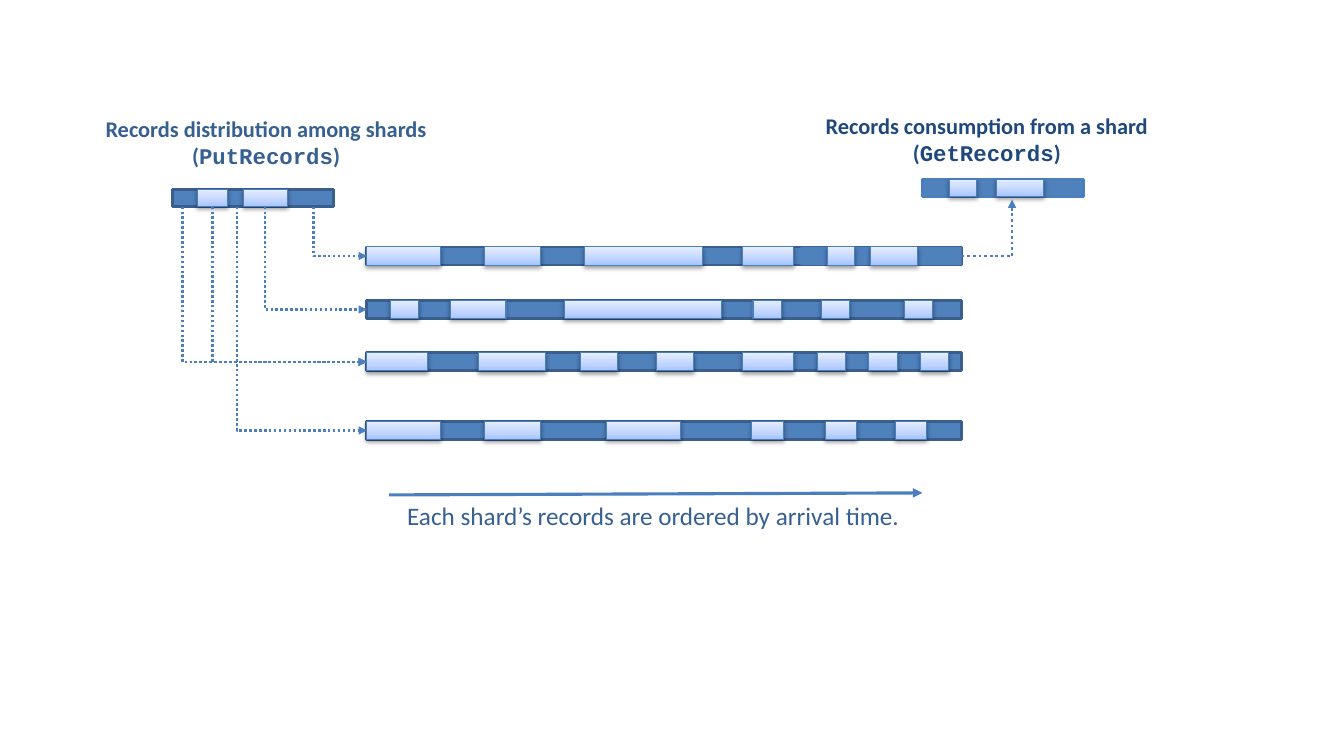
from copy import deepcopy
from dataclasses import dataclass

from pptx import Presentation
from pptx.dml.color import RGBColor
from pptx.enum.dml import MSO_LINE
from pptx.enum.shapes import MSO_CONNECTOR, MSO_SHAPE
from pptx.enum.text import PP_ALIGN
from pptx.oxml import parse_xml
from pptx.oxml.ns import nsdecls, qn
from pptx.oxml.xmlchemy import OxmlElement
from pptx.util import Inches, Pt


@dataclass(frozen=True)
class Theme:
    """Colours, fonts and sizes of the slide."""
    bar: str = "4F81BD"
    edge: str = "3A5F8C"
    link: str = "4B7EBC"
    text: str = "376092"
    navy: str = "1F497D"
    glow: tuple = ((0, "A4C4FF"), (0.35, "BFD4FF"), (1, "E6EEFF"))
    font: str = "Calibri"
    code: str = "Courier New"
    head: int = 16
    note: int = 18
    thick: float = 2
    thin: float = 0.75
    dots: float = 1.75
    arrow: float = 2.25


THEME = Theme()
CELL = 0.1  # inches per grid column and row
COLS, ROWS = 133.33, 75
BAR = 1.8  # rows in a shard bar
LEVELS = (0, 5.3, 10.5, 17.3)  # rows from the first shard to each one
# Each record is (column from the left end of its bar, width)
SHARDS = (
    ((0, 7.3), (11.7, 5.5), (21.6, 11.7), (37.3, 5)),
    ((2.3, 2.8), (8.3, 5.5), (19.6, 15.6), (38.3, 2.8), (45.1, 2.8), (53.3, 2.8)),
    ((0, 6), (11.1, 6.6), (21.2, 3.7), (28.7, 3.7), (37.3, 5), (44.7, 2.8),
     (49.8, 2.8), (54.9, 2.8)),
    ((0, 7.3), (11.7, 5.5), (23.8, 7.3), (38.2, 3.1), (45.5, 3.1), (52.4, 3.1)),
)
TAIL = ((2.7, 2.7), (7, 4.6))
PUT = ((2.5, 3), (7.1, 4.3))
GET = ((2.7, 2.7), (7.4, 4.6))
# Each route is (column from the left end of the put bar, shard number)
ROUTES = ((1, 2), (4, 2), (6.4, 3), (9.2, 1), (14, 0))


def span(*cells):
    """Turn grid cells into lengths."""
    return [Inches(cell * CELL) for cell in cells]


def rgb(code):
    """Read a hex colour."""
    return RGBColor.from_string(code)


def block(slide, box, edge, width):
    """Add a bare rectangle, with an outline if an edge colour is given."""
    shape = slide.shapes.add_shape(MSO_SHAPE.RECTANGLE, *span(*box))
    shape.shadow.inherit = False
    if edge:
        shape.line.color.rgb = rgb(edge)
        shape.line.width = Pt(width)
    else:
        shape.line.fill.background()
    return shape


def record(slide, box):
    """Add one glossy record with a soft shadow."""
    shape = block(slide, box, THEME.link, THEME.thin)
    fill, props = shape.fill, shape._element.spPr
    fill.gradient()
    fill.gradient_angle = 90
    stops = props.find(qn("a:gradFill")).find(qn("a:gsLst"))
    stops.append(deepcopy(stops[0]))
    for stop, (place, code) in zip(fill.gradient_stops, THEME.glow):
        stop.position = place
        stop.color.rgb = rgb(code)
    props.find(qn("a:effectLst")).append(parse_xml(
        f'<a:outerShdw {nsdecls("a")} blurRad="40000" dist="20000" dir="5400000" '
        'rotWithShape="0"><a:srgbClr val="000000"><a:alpha val="38000"/>'
        '</a:srgbClr></a:outerShdw>'))


def batch(slide, box, items, edge=None):
    """Add a bar filled with its records."""
    left, top, _, high = box
    shape = block(slide, box, edge, THEME.thick)
    shape.fill.solid()
    shape.fill.fore_color.rgb = rgb(THEME.bar)
    for col, wide in items:
        record(slide, (left + col, top, wide, high))


def link(slide, start, end, width, kind=MSO_CONNECTOR.ELBOW, dotted=True):
    """Add an arrow from start to end."""
    line = slide.shapes.add_connector(kind, *span(*start, *end))
    line.line.color.rgb = rgb(THEME.link)
    line.line.width = Pt(width)
    if dotted:
        line.line.dash_style = MSO_LINE.ROUND_DOT
    tip = OxmlElement("a:tailEnd")
    tip.set("type", "triangle")
    props = line._element.spPr
    props.find(qn("a:ln")).append(tip)
    props.append(OxmlElement("a:effectLst"))
    return props.find(qn("a:prstGeom"))


def label(slide, box, runs, size, color, bold=False, align=PP_ALIGN.LEFT):
    """Add text run by run; each run is (words, font)."""
    frame = slide.shapes.add_textbox(*span(*box)).text_frame
    frame.word_wrap = True
    para = frame.paragraphs[0]
    para.alignment = align
    for words, face in runs:
        run = para.add_run()
        run.text = words
        run.font.name = face
        run.font.size = Pt(size)
        run.font.bold = bold
        run.font.color.rgb = rgb(color)


def title(slide, box, words, call, color):
    """Add a centred heading that ends in a call name."""
    runs = ((words + " (", THEME.font), (call, THEME.code), (")", THEME.font))
    label(slide, box, runs, THEME.head, color, True, PP_ALIGN.CENTER)


def stream(slide, box):
    """Add the four shards and the note on their order."""
    left, top, wide, _ = box
    for level, items in zip(LEVELS, SHARDS):
        batch(slide, (left, top + level, wide, BAR), items, THEME.edge)
    batch(slide, (left + wide - 16, top, 16, BAR), TAIL)
    link(slide, (left + 2.2, top + 24.6), (left + 55.1, top + 24.4),
         THEME.arrow, MSO_CONNECTOR.STRAIGHT, False)
    label(slide, (left + 3, top + 24.6, 52.1, 4),
          (("Each shard’s records are ordered by arrival time.", THEME.font),),
          THEME.note, THEME.text)


def spread(slide, box, goal):
    """Add the put side and its routes to the shards in the goal box."""
    left, top, wide, _ = box
    title(slide, (left, top, wide, 6.4), "Records distribution among shards",
          "PutRecords", THEME.text)
    base = left + 8.1
    batch(slide, (base, top + 7.9, 16, 1.7), PUT, THEME.edge)
    for col, shard in ROUTES:
        end = goal[0], goal[1] + LEVELS[shard] + BAR / 2
        bend = link(slide, (base + col, top + 9.6), end, THEME.dots)
        guide = OxmlElement("a:gd")
        guide.set("name", "adj1")
        guide.set("fmla", "val 0")
        bend.get_or_add_avLst().append(guide)


def fetch(slide, box, goal):
    """Add the get side, fed by the first shard in the goal box."""
    left, top, wide, _ = box
    title(slide, (left, top, wide, 6.4), "Records consumption from a shard",
          "GetRecords", THEME.navy)
    batch(slide, (left + 11, top + 7.2, 16, 1.7), GET, THEME.link)
    start = goal[0] + goal[2], goal[1] + BAR / 2
    bend = link(slide, start, (left + 19.9, top + 9.2), THEME.thick)
    bend.set("prst", "bentConnector2")


def main():
    """Build the slide and save it."""
    deck = Presentation()
    deck.slide_width, deck.slide_height = span(COLS, ROWS)
    slide = deck.slides.add_slide(deck.slide_layouts[6])
    goal = (36.4, 24.5, 59, 28.6)
    stream(slide, goal)
    spread(slide, (9, 10.9, 34.8, 9.6), goal)
    fetch(slide, (80.5, 10.6, 34.8, 9.2), goal)
    deck.save("out.pptx")


main()
